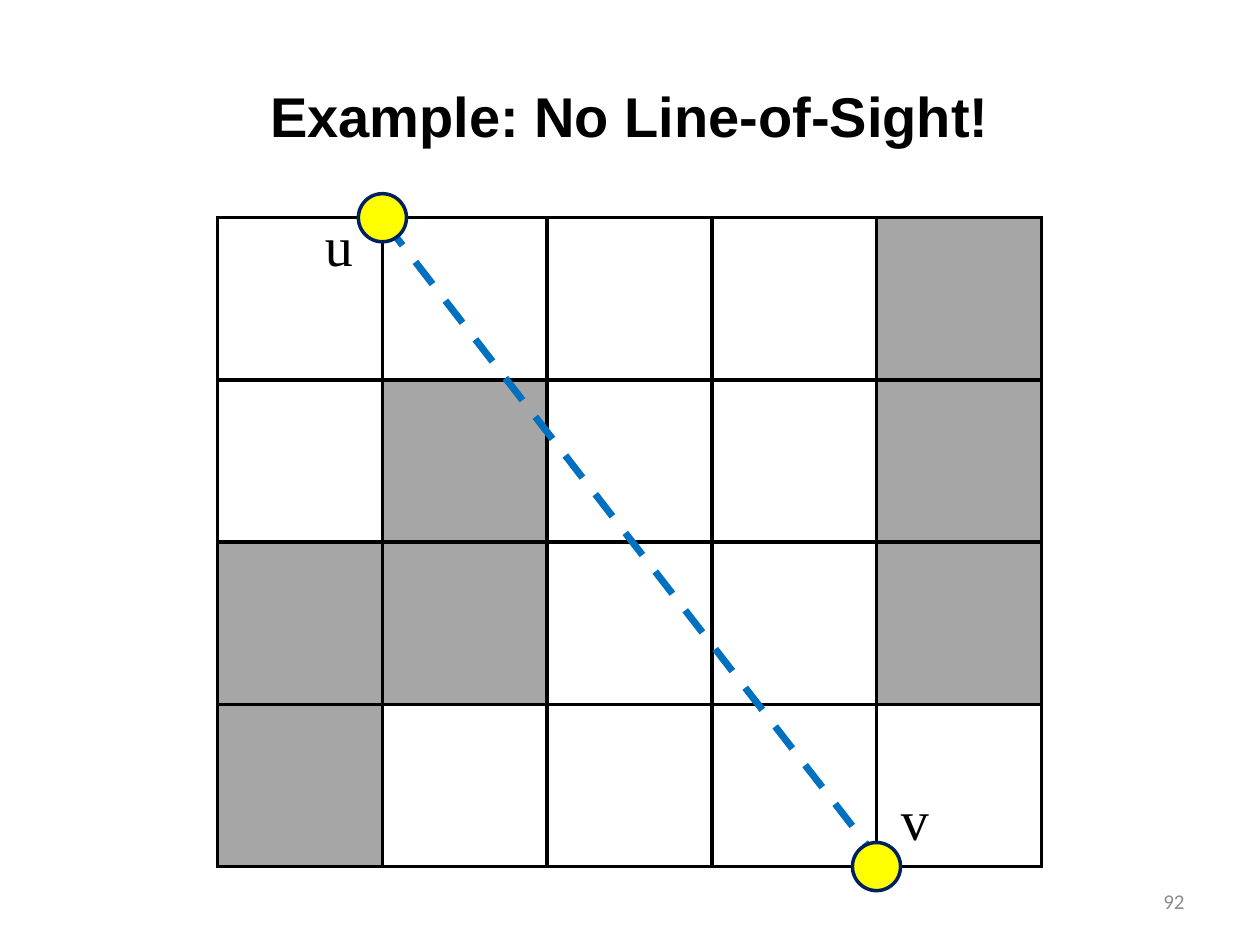
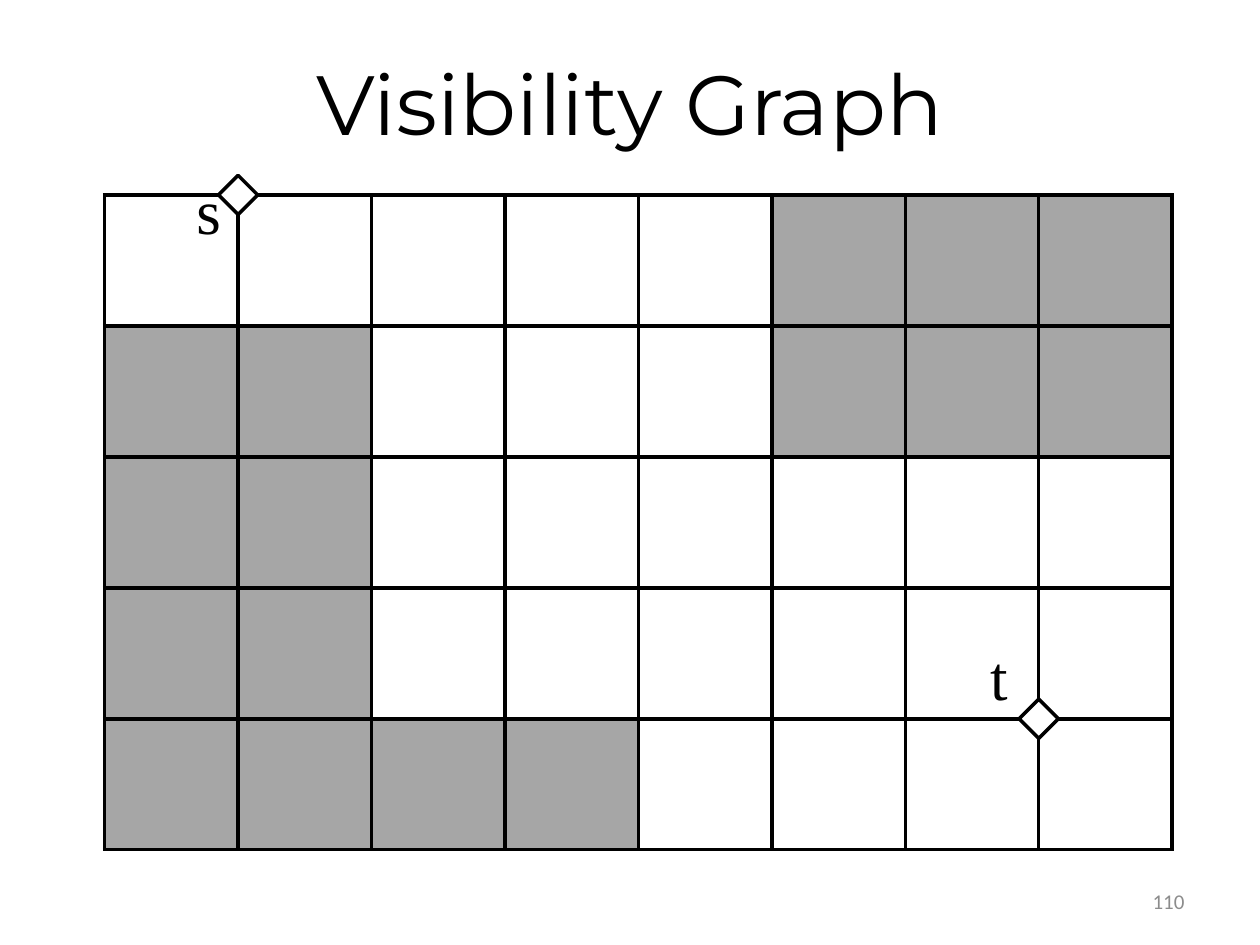
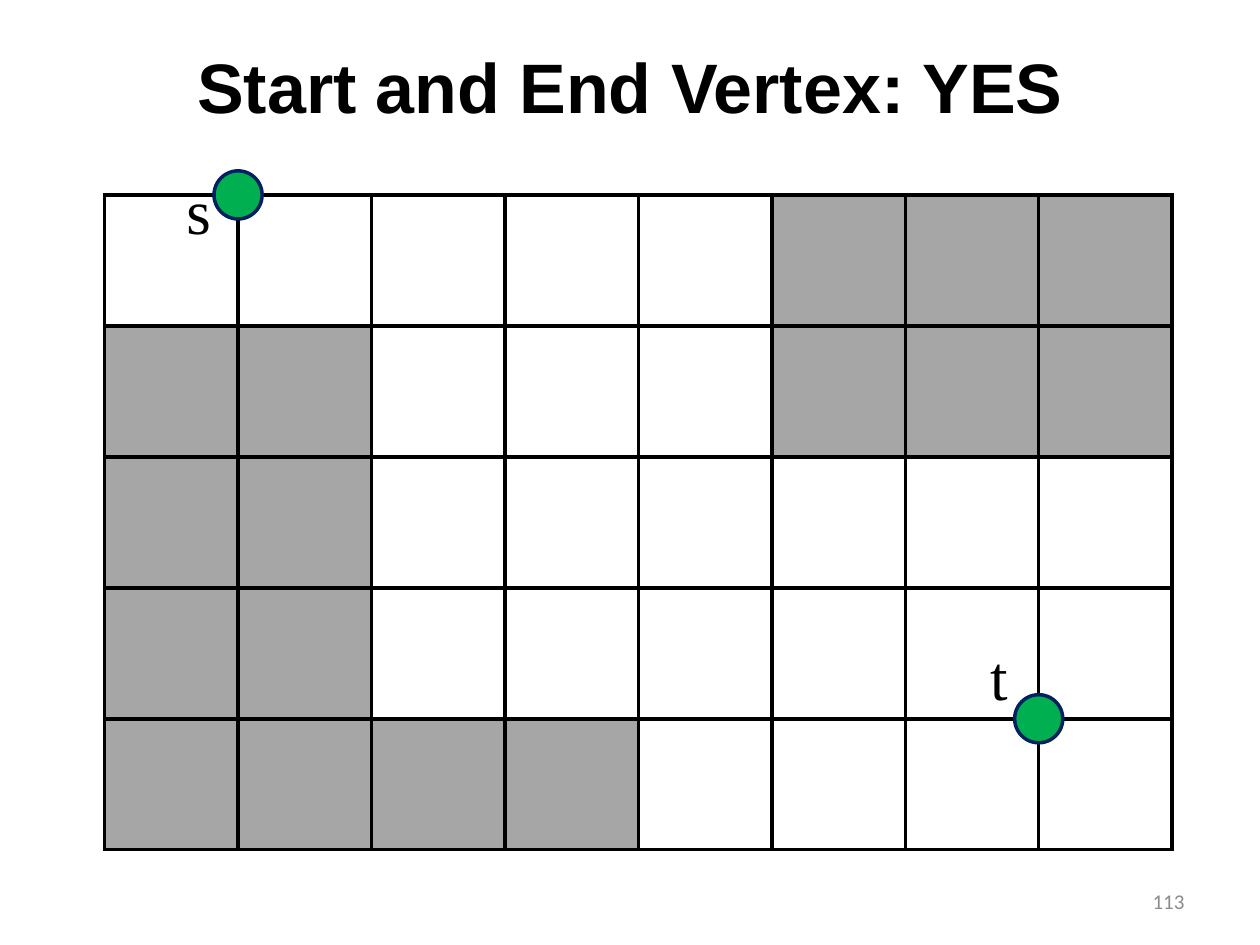
from lxml import etree
from pptx import Presentation
from pptx.dml.color import RGBColor
from pptx.enum.dml import MSO_LINE
from pptx.enum.shapes import MSO_CONNECTOR, MSO_SHAPE
from pptx.enum.text import MSO_ANCHOR, MSO_AUTO_SIZE, PP_ALIGN
from pptx.oxml.ns import qn
from pptx.util import Cm, Pt

DASH, STRAIGHT = MSO_LINE.DASH, MSO_CONNECTOR.STRAIGHT
OVAL, DIAMOND = MSO_SHAPE.OVAL, MSO_SHAPE.DIAMOND
TOP, MIDDLE = MSO_ANCHOR.TOP, MSO_ANCHOR.MIDDLE
LEFT, CENTER, RIGHT = PP_ALIGN.LEFT, PP_ALIGN.CENTER, PP_ALIGN.RIGHT
NO_FIT = MSO_AUTO_SIZE.NONE

BLACK = RGBColor(0x00, 0x00, 0x00)
WHITE = RGBColor(0xFF, 0xFF, 0xFF)
BLOCK = RGBColor(0xA6, 0xA6, 0xA6)
MUTED = RGBColor(0x8C, 0x8C, 0x8C)
NAVY = RGBColor(0x00, 0x20, 0x60)
BLUE = RGBColor(0x00, 0x70, 0xC0)
YELLOW = RGBColor(0xFF, 0xFF, 0x00)
GREEN = RGBColor(0x00, 0xB0, 0x50)

WIDTH, HEIGHT = 25.4, 19.05

# Maps: "#" is a blocked cell, "." a free one; lengths in cm
SMALL = {
    "left": 4.39, "top": 4.39, "cell": (3.32, 3.27),
    "rows": ["....#", ".#..#", "##..#", "#...."],
}
LARGE = {
    "left": 2.11, "top": 3.93, "cell": (2.69, 2.64),
    "rows": [".....###", "##...###", "##......", "##......", "####...."],
}

# Marker styles: shape, size, fill, outline
SIGHT = (OVAL, 0.97, YELLOW, NAVY)
PLAIN = (DIAMOND, 0.79, WHITE, BLACK)
FOUND = (OVAL, 0.97, GREEN, NAVY)

# Title: text, font, size, bold, top. Nodes: column and row of a grid corner.
# Labels: letter, left, top.
SLIDES = [
    {"title": ("Example: No Line-of-Sight!", "Arial", 32, True, 1.52),
     "map": SMALL, "mark": SIGHT, "nodes": [(1, 0), (4, 4)],
     "labels": [("v", 17.91, 15.7), ("u", 6.3, 4.11)], "size": 32,
     "sight": (7.77, 4.5, 17.7, 17.32), "page": "92"},
    {"title": ("Visibility Graph", "Montserrat", 48, False, 0.91),
     "map": LARGE, "mark": PLAIN, "nodes": [(1, 0), (7, 4)],
     "labels": [("s", 3.71, 3.33), ("t", 19.71, 12.73)], "size": 36,
     "page": "110"},
    {"title": ("Start and End Vertex: YES", "Arial", 40, True, 0.74),
     "map": LARGE, "mark": FOUND, "nodes": [(1, 0), (7, 4)],
     "labels": [("s", 3.51, 3.33), ("t", 19.71, 12.73)], "size": 36,
     "page": "113"},
]


def place(shape, left, top, width, height):
    shape.left, shape.top = Cm(left), Cm(top)
    shape.width, shape.height = Cm(width), Cm(height)


def write(shape, text, name, size, color=BLACK, bold=False,
          align=LEFT, anchor=TOP):
    frame = shape.text_frame
    frame.text = text
    frame.word_wrap = True
    frame.auto_size = NO_FIT
    frame.vertical_anchor = anchor
    para = frame.paragraphs[0]
    para.alignment = align
    font = para.runs[0].font
    font.name, font.size, font.bold = name, Pt(size), bold
    font.color.rgb = color


def add_text(slide, box, *args, **style):
    shape = slide.shapes.add_textbox(*map(Cm, box))
    write(shape, *args, **style)


def add_edges(cell):
    props = cell._tc.get_or_add_tcPr()
    for side in ("lnL", "lnR", "lnT", "lnB"):
        line = etree.SubElement(props, qn("a:" + side), w=str(Pt(2.25)))
        fill = etree.SubElement(line, qn("a:solidFill"))
        etree.SubElement(fill, qn("a:srgbClr"), val=str(BLACK))


def add_map(slide, grid):
    rows, (wide, high) = grid["rows"], grid["cell"]
    count = len(rows[0])
    table = slide.shapes.add_table(
        len(rows), count, Cm(grid["left"]), Cm(grid["top"]),
        Cm(count * wide), Cm(len(rows) * high)).table
    table.first_row = table.horz_banding = False
    for col in table.columns:
        col.width = Cm(wide)
    for row, marks in zip(table.rows, rows):
        row.height = Cm(high)
        for cell, mark in zip(row.cells, marks):
            add_edges(cell)
            cell.fill.solid()
            cell.fill.fore_color.rgb = BLOCK if mark == "#" else WHITE


def add_sight(slide, ends):
    link = slide.shapes.add_connector(STRAIGHT, *map(Cm, ends))
    link.line.color.rgb = BLUE
    link.line.width = Pt(4)
    link.line.dash_style = DASH
    etree.SubElement(link._element.spPr, qn("a:effectLst"))


def add_node(slide, grid, node, style):
    kind, size, fill, edge = style
    x, y = (start + step * n - size / 2 for start, step, n in
            zip((grid["left"], grid["top"]), grid["cell"], node))
    shape = slide.shapes.add_shape(kind, Cm(x), Cm(y), Cm(size), Cm(size))
    shape.shadow.inherit = False
    shape.fill.solid()
    shape.fill.fore_color.rgb = fill
    shape.line.color.rgb = edge
    shape.line.width = Pt(2)


def add_slide(deck, data):
    slide = deck.slides.add_slide(deck.slide_layouts[5])

    # Title and page number
    text, name, size, bold, top = data["title"]
    place(slide.shapes.title, 0, top, WIDTH, 2.3)
    write(slide.shapes.title, text, name, size, bold=bold, align=CENTER)
    add_text(slide, (18.21, 17.65, 5.92, 1.02), data["page"], "Calibri", 12,
             color=MUTED, align=RIGHT, anchor=MIDDLE)

    # Map with its line of sight, labels and nodes
    add_map(slide, data["map"])
    if "sight" in data:
        add_sight(slide, data["sight"])
    for letter, left, top in data["labels"]:
        add_text(slide, (left, top, 1.12, 1.8), letter,
                 "Times New Roman", data["size"])
    for node in data["nodes"]:
        add_node(slide, data["map"], node, data["mark"])


def main():
    deck = Presentation()
    deck.slide_width, deck.slide_height = Cm(WIDTH), Cm(HEIGHT)
    for data in SLIDES:
        add_slide(deck, data)
    deck.save("out.pptx")


if __name__ == "__main__":
    main()
